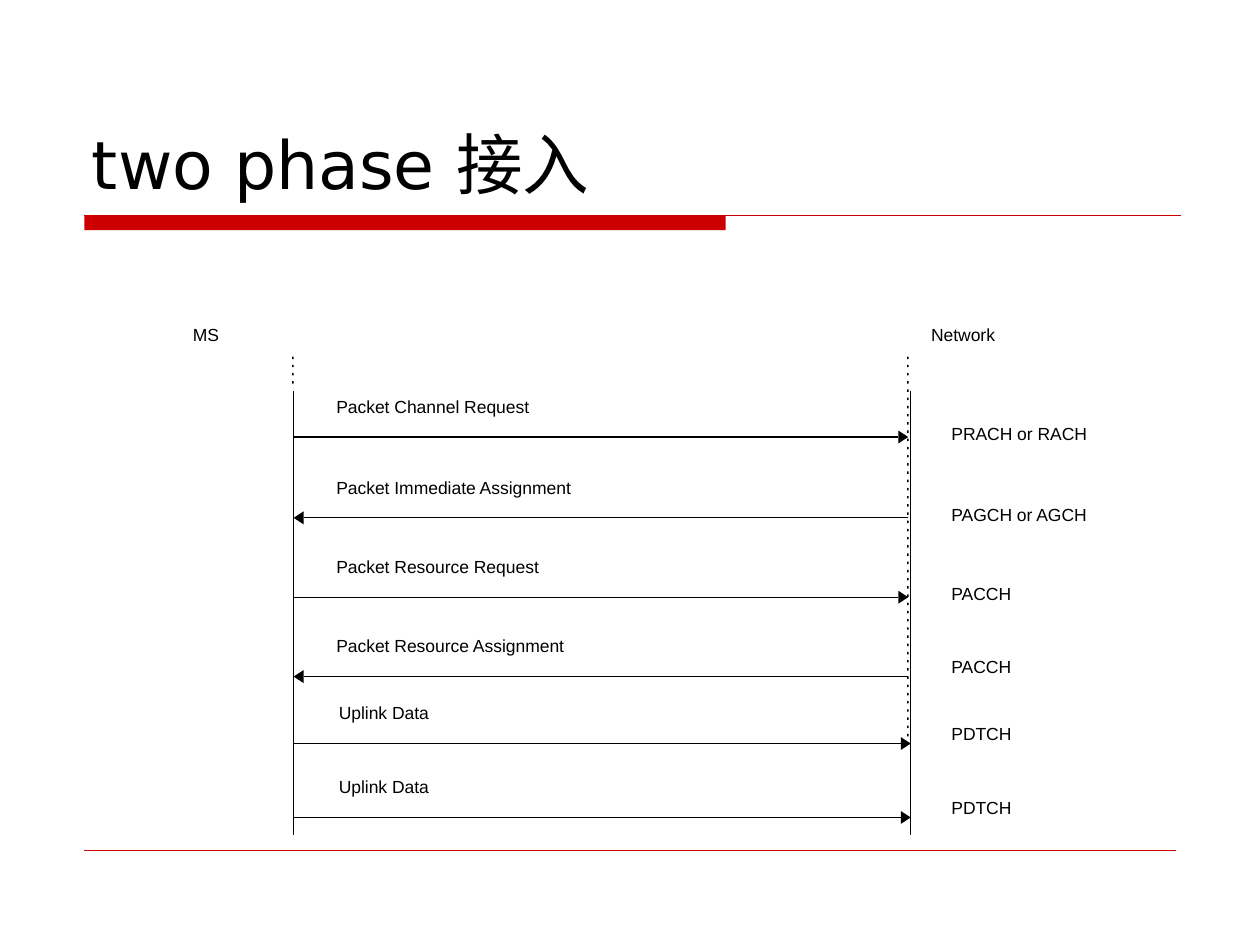
from typing import NamedTuple

from lxml.etree import SubElement
from pptx import Presentation
from pptx.dml.color import RGBColor
from pptx.enum.shapes import MSO_CONNECTOR, MSO_SHAPE
from pptx.enum.text import MSO_ANCHOR, MSO_AUTO_SIZE, PP_ALIGN
from pptx.oxml.ns import qn
from pptx.util import Cm, Pt

BLACK = RGBColor(0x00, 0x00, 0x00)
RED = RGBColor(0xCC, 0x00, 0x00)

MS_LINE, NETWORK_DOTS, NETWORK_LINE = 2.03, 14.42, 14.47
DOT_COUNT, DOT_SPAN = 48, 7.77
HEAD_LENGTH, HEAD_HALF = 0.2, 0.13
LABEL_RISE = 0.83


class Box(NamedTuple):
    """A region of the slide in centimetres."""
    left: float
    top: float
    width: float
    height: float


class Message(NamedTuple):
    """One arrow of the sequence with its label and its channel."""
    label: str
    label_left: float
    label_width: float
    channel: str
    channel_width: float
    channel_rise: float
    level: float
    start: float
    tip: float


MESSAGES = [
    Message("Packet Channel Request", 2.89, 3.89, "PRACH or RACH", 2.74, 0.28,
            2.28, MS_LINE, NETWORK_DOTS),
    Message("Packet Immediate Assignment", 2.89, 4.75, "PAGCH or AGCH", 2.77, 0.28,
            3.91, NETWORK_DOTS, MS_LINE),
    Message("Packet Resource Request", 2.89, 4.09, "PACCH", 1.24, 0.28,
            5.51, MS_LINE, NETWORK_DOTS),
    Message("Packet Resource Assignment", 2.89, 4.6, "PACCH", 1.24, 0.41,
            7.11, NETWORK_DOTS, MS_LINE),
    Message("Uplink Data", 2.94, 1.83, "PDTCH", 1.22, 0.41,
            8.46, MS_LINE, NETWORK_LINE),
    Message("Uplink Data", 2.94, 1.83, "PDTCH", 1.22, 0.41,
            9.95, MS_LINE, NETWORK_LINE),
]


def add_line(slide, x1, y1, x2, y2, color, width):
    """Draw a straight line without a shadow."""
    line = slide.shapes.add_connector(
        MSO_CONNECTOR.STRAIGHT, Cm(x1), Cm(y1), Cm(x2), Cm(y2))
    line.line.color.rgb = color
    line.line.width = Pt(width)
    SubElement(line._element.spPr, qn("a:effectLst"))


def fill_plain(shape, color):
    """Fill a shape with one colour, without outline or shadow."""
    shape.shadow.inherit = False
    shape.fill.solid()
    shape.fill.fore_color.rgb = color
    shape.line.fill.background()


def add_text(paragraph, text, font_name, size):
    """Add one black run to a paragraph."""
    run = paragraph.add_run()
    run.text = text
    run.font.name = font_name
    run.font.size = Pt(size)
    run.font.color.rgb = BLACK


def add_label(slide, text, left, top, width):
    """Place a small label without margins."""
    frame = slide.shapes.add_textbox(Cm(left), Cm(top), Cm(width), Cm(0.43)).text_frame
    frame.margin_left = frame.margin_right = frame.margin_top = frame.margin_bottom = 0
    frame.word_wrap = False
    frame.auto_size = MSO_AUTO_SIZE.SHAPE_TO_FIT_TEXT
    frame.paragraphs[0].alignment = PP_ALIGN.JUSTIFY
    add_text(frame.paragraphs[0], text, "Arial", 10)


def add_title(slide, box):
    """Move and format the title placeholder."""
    title = slide.shapes.title
    title.left, title.top, title.width, title.height = map(Cm, box)
    frame = title.text_frame
    frame.auto_size = MSO_AUTO_SIZE.NONE
    frame.vertical_anchor = MSO_ANCHOR.BOTTOM
    frame.paragraphs[0].alignment = PP_ALIGN.LEFT
    add_text(frame.paragraphs[0], "two phase 接入", "DejaVu Sans", 38)


def add_rules(slide, box):
    """Draw the thick bar under the title and the rules at both ends of the box."""
    bar = slide.shapes.add_shape(
        MSO_SHAPE.RECTANGLE, Cm(box.left), Cm(box.top), Cm(12.93), Cm(0.3))
    fill_plain(bar, RED)
    right, bottom = box.left + box.width, box.top + box.height
    add_line(slide, box.left, box.top, right, box.top, RED, 0.75)
    add_line(slide, box.left, bottom, right - 0.1, bottom, RED, 0.25)


def add_dots(slide, left, top, count):
    """Draw a dotted vertical line as a group of small rectangles."""
    group = slide.shapes.add_group_shape()
    pitch = DOT_SPAN / (DOT_COUNT - 1)
    for index in range(count):
        dot = group.shapes.add_shape(
            MSO_SHAPE.RECTANGLE, Cm(left), Cm(top + index * pitch), Cm(0.03), Cm(0.05))
        fill_plain(dot, BLACK)


def add_arrow(slide, start, tip, level):
    """Draw a horizontal arrow with a triangular head."""
    base = tip - HEAD_LENGTH if tip > start else tip + HEAD_LENGTH
    add_line(slide, start, level, base, level, BLACK, 0.65)
    builder = slide.shapes.build_freeform(Cm(base), Cm(level - HEAD_HALF))
    builder.add_line_segments(
        [(Cm(base), Cm(level + HEAD_HALF)), (Cm(tip), Cm(level))], close=True)
    fill_plain(builder.convert_to_shape(), BLACK)


def add_sequence(slide, box):
    """Draw the message sequence between MS and Network."""
    left, top = box.left, box.top
    add_dots(slide, left + 2, top + 0.66, 4)
    add_dots(slide, left + 14.4, top + 0.66, DOT_COUNT)
    add_label(slide, "MS", left, top, 0.53)
    add_label(slide, "Network", left + 14.88, top, 1.3)
    for message in MESSAGES:
        level = top + message.level
        add_arrow(slide, left + message.start, left + message.tip, level)
        add_label(slide, message.label, left + message.label_left,
                  level - LABEL_RISE, message.label_width)
        add_label(slide, message.channel, left + 15.29,
                  level - message.channel_rise, message.channel_width)
    for x in (MS_LINE, NETWORK_LINE):
        add_line(slide, left + x, top + 1.35, left + x, top + box.height, BLACK, 0.75)


def main():
    """Build the slide and save it."""
    presentation = Presentation()
    presentation.slide_width, presentation.slide_height = Cm(25.4), Cm(19.05)
    slide = presentation.slides.add_slide(presentation.slide_layouts[5])
    add_rules(slide, Box(1.7, 4.34, 22.1, 12.8))
    add_title(slide, Box(1.6, 0.84, 22.22, 3.38))
    add_sequence(slide, Box(3.89, 6.53, 18.06, 10.3))
    presentation.save("out.pptx")


if __name__ == "__main__":
    main()
